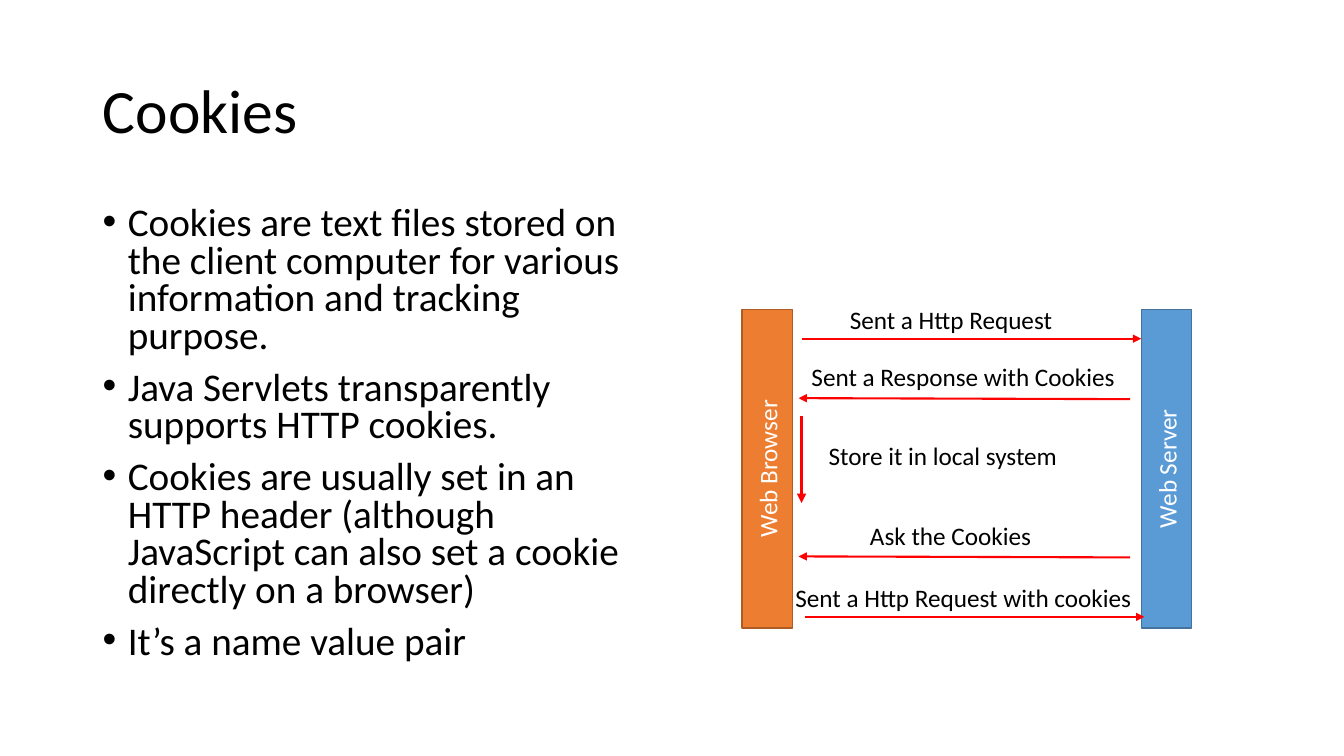
import pptx
import pptx.dml.color
import pptx.enum.shapes
import pptx.enum.text
import pptx.util
from lxml import etree
from pptx.oxml.ns import qn

Inches = pptx.util.Inches
Pt = pptx.util.Pt
ANCHOR = pptx.enum.text.MSO_ANCHOR
ALIGN = pptx.enum.text.PP_ALIGN

FACTS = [
    "Cookies are text files stored on the client computer for various information and tracking purpose.",
    "Java Servlets transparently supports HTTP cookies.",
    "Cookies are usually set in an HTTP header (although JavaScript can also set a cookie directly on a browser)",
    "It’s a name value pair",
]
BAR_WIDTH = 0.5
# Name, fill, outline
PARTIES = [("Web Browser", "ED7D31", "AF5C24"), ("Web Server", "5B9BD5", "43739E")]
# Text, label (left, top, width), arrow (start, end), line weight; relative to the diagram
MESSAGES = [
    ("Sent a Http Request", (0.97, -0.1, 2.24), (0.59, 0.29), (3.96, 0.29), 1.5),
    ("Sent a Response with Cookies", (0.59, 0.47, 3.25), (3.85, 0.89), (0.56, 0.88), 1.5),
    ("Store it in local system", (0.76, 1.25, 2.49), (0.59, 1.06), (0.59, 1.92), 2.25),
    ("Ask the Cookies", (1.17, 2.04, 1.82), (3.85, 2.46), (0.56, 2.45), 1.5),
    ("Sent a Http Request with cookies", (0.43, 2.66, 3.58), (0.62, 3.05), (3.99, 3.05), 1.5),
]


def rgb(color):
    return pptx.dml.color.RGBColor.from_string(color)


def write(paragraph, text, size=18, color="000000", align=ALIGN.LEFT, spacing=None, before=0):
    paragraph.alignment = align
    paragraph.line_spacing = spacing
    paragraph.space_before = Pt(before)
    run = paragraph.add_run()
    run.text = text
    run.font.name = "Calibri"
    run.font.size = Pt(size)
    run.font.color.rgb = rgb(color)


def add_bullet(paragraph, indent):
    properties = paragraph._p.get_or_add_pPr()
    properties.set("marL", str(Inches(indent)))
    properties.set("indent", str(-Inches(indent)))
    etree.SubElement(properties, qn("a:buFont")).set("typeface", "Arial")
    etree.SubElement(properties, qn("a:buChar")).set("char", "•")


def place_title(slide, left, top, width, height):
    title = slide.shapes.title
    title.left, title.top = Inches(left), Inches(top)
    title.width, title.height = Inches(width), Inches(height)
    title.text_frame.vertical_anchor = ANCHOR.MIDDLE
    write(title.text_frame.paragraphs[0], "Cookies", size=44, spacing=0.9)


def add_facts(slide, left, top, width, height):
    box = slide.shapes.add_textbox(Inches(left), Inches(top), Inches(width), Inches(height))
    frame = box.text_frame
    frame.word_wrap = True
    for index, fact in enumerate(FACTS):
        paragraph = frame.add_paragraph() if index else frame.paragraphs[0]
        write(paragraph, fact, size=28, spacing=0.8, before=10)
        add_bullet(paragraph, 0.25)


def add_party(slide, name, fill, outline, left, top, height):
    bar = slide.shapes.add_shape(pptx.enum.shapes.MSO_SHAPE.RECTANGLE,
                                 Inches(left), Inches(top), Inches(BAR_WIDTH), Inches(height))
    bar.shadow.inherit = False
    bar.fill.solid()
    bar.fill.fore_color.rgb = rgb(fill)
    bar.line.color.rgb = rgb(outline)
    bar.line.width = Pt(1)
    frame = bar.text_frame
    frame.vertical_anchor = ANCHOR.MIDDLE
    frame._txBody.bodyPr.set("vert", "vert270")
    write(frame.paragraphs[0], name, color="FFFFFF", align=ALIGN.CENTER)


def add_arrow(slide, start, end, weight):
    arrow = slide.shapes.add_connector(pptx.enum.shapes.MSO_CONNECTOR.STRAIGHT,
                                       *(Inches(value) for value in start + end))
    arrow.line.color.rgb = rgb("FF0000")
    arrow.line.width = Pt(weight)
    etree.SubElement(arrow.line._get_or_add_ln(), qn("a:tailEnd")).set("type", "triangle")
    etree.SubElement(arrow._element.spPr, qn("a:effectLst"))


def add_label(slide, text, left, top, width):
    label = slide.shapes.add_textbox(Inches(left), Inches(top), Inches(width), Inches(0.4))
    label.text_frame.word_wrap = False
    write(label.text_frame.paragraphs[0], text)


def add_exchange(slide, left, top, width, height):
    """Draw browser and server bars at the box's sides with their messages between them."""
    for (name, fill, outline), offset in zip(PARTIES, (0, width - BAR_WIDTH)):
        add_party(slide, name, fill, outline, left + offset, top, height)
    for text, (label_x, label_y, label_width), start, end, weight in MESSAGES:
        add_arrow(slide, (left + start[0], top + start[1]), (left + end[0], top + end[1]), weight)
        add_label(slide, text, left + label_x, top + label_y, label_width)


def main():
    deck = pptx.Presentation()
    deck.slide_width, deck.slide_height = Inches(13.33), Inches(7.5)
    slide = deck.slides.add_slide(deck.slide_layouts[5])
    place_title(slide, 0.92, 0.4, 11.5, 1.45)
    add_facts(slide, 0.92, 2, 5.67, 4.76)
    add_exchange(slide, 7.36, 3.07, 4.46, 3.16)
    deck.save("out.pptx")


if __name__ == "__main__":
    main()
